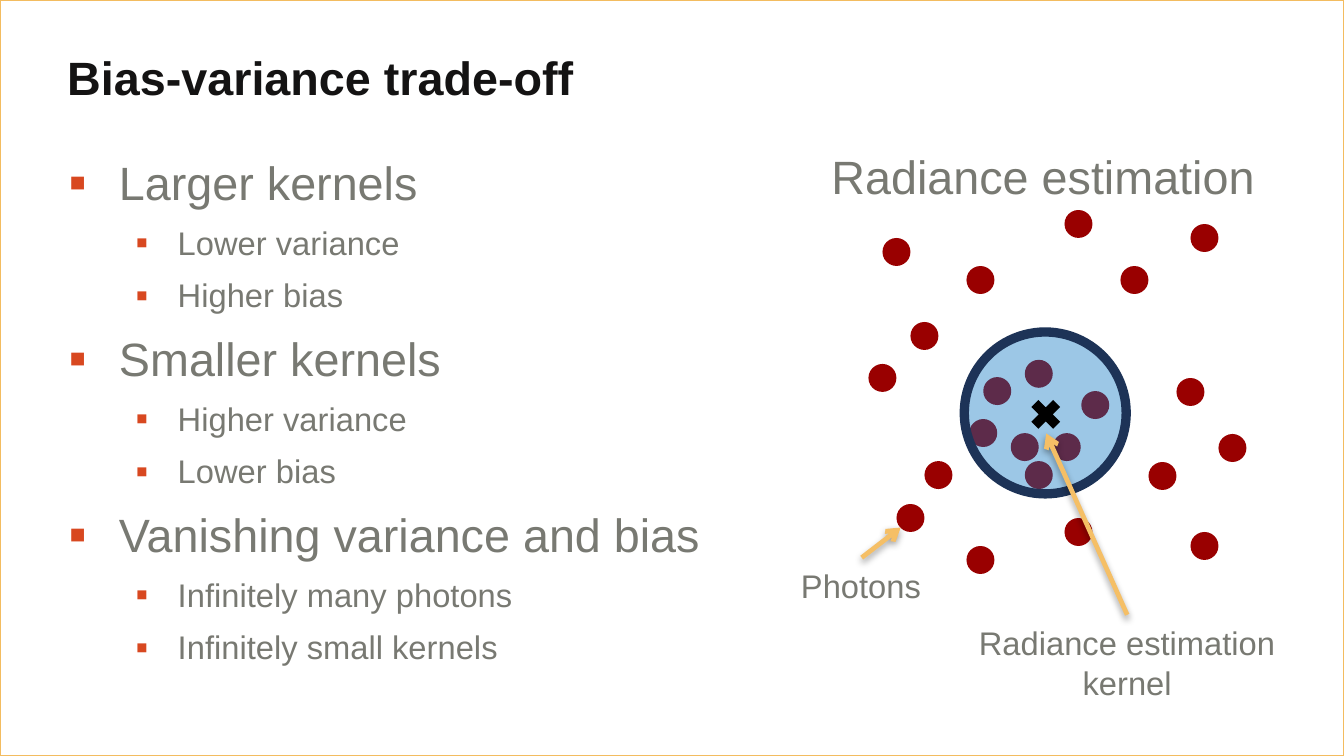
import copy
from dataclasses import dataclass

import pptx
import pptx.dml.color
import pptx.enum.shapes
import pptx.enum.text
import pptx.oxml.ns
import pptx.util
from lxml import etree

Pt = pptx.util.Pt
qn = pptx.oxml.ns.qn
Shape = pptx.enum.shapes.MSO_SHAPE
Align = pptx.enum.text.PP_ALIGN


@dataclass(frozen=True)
class Theme:
    font: str = "Arial"
    heading_size: float = 20
    detail_size: float = 14
    paper: str = "FFFFFF"
    frame: str = "F3BC60"
    title: str = "141313"
    text: str = "787972"
    bullet: str = "D84820"
    photon: str = "990000"
    kernel_fill: str = "0070C0"
    kernel_line: str = "1D3357"
    arrow: str = "F5BF66"
    mark: str = "000000"


@dataclass(frozen=True)
class Box:
    left: float
    top: float
    width: float
    height: float

    def lengths(self) -> list:
        return [Pt(v) for v in (self.left, self.top, self.width, self.height)]


@dataclass(frozen=True)
class Topic:
    heading: str
    details: tuple


THEME = Theme()
SLIDE = Box(0, 0, 576, 324)
PHOTON_SIZE = 12

TOPICS = [
    Topic("Larger kernels", ("Lower variance", "Higher bias")),
    Topic("Smaller kernels", ("Higher variance", "Lower bias")),
    Topic("Vanishing variance and bias",
          ("Infinitely many photons", "Infinitely small kernels")),
]

# Top left corners of the photons
PHOTONS = [
    (439.2, 154.2), (433.2, 185.6), (451.2, 185.6), (463.4, 167.6),
    (415.4, 179.6), (439.2, 197.6), (421.4, 161.6), (396.2, 197.6),
    (384.2, 216), (414.2, 234), (390.2, 138), (372.2, 156),
    (456.2, 222), (510.2, 228), (522.2, 186), (492.2, 198),
    (504.2, 162), (510.2, 96), (480.2, 114), (414.2, 114),
    (378.2, 102), (456.2, 90),
]


def rgb(color: str):
    return pptx.dml.color.RGBColor.from_string(color)


def add_element(parent, tag: str, **attributes):
    return etree.SubElement(parent, qn(tag),
                            {key: str(value) for key, value in attributes.items()})


def write(paragraph, text: str, *, size=THEME.detail_size, color=THEME.text,
          bold=False, align=None) -> None:
    paragraph.text = text
    paragraph.alignment = align
    for run in paragraph.runs:
        run.font.name = THEME.font
        run.font.size = Pt(size)
        run.font.bold = bold
        run.font.color.rgb = rgb(color)
    # Line breaks take the format of the text around them
    for line_break in paragraph.line_breaks if hasattr(paragraph, "line_breaks") else \
            paragraph._p.findall(qn("a:br")):
        line_break.insert(0, copy.deepcopy(paragraph.runs[0].font._rPr))


def add_text_box(slide, box: Box, wrap=False, inset=(7.2, 3.6)):
    text_box = slide.shapes.add_textbox(*box.lengths())
    frame = text_box.text_frame
    frame.word_wrap = wrap
    frame.margin_left = frame.margin_right = Pt(inset[0])
    frame.margin_top = frame.margin_bottom = Pt(inset[1])
    return text_box


def add_label(slide, box: Box, text: str, **text_format):
    label = add_text_box(slide, box)
    write(label.text_frame.paragraphs[0], text, **text_format)
    return label


def add_filled(slide, kind, box: Box, fill: str, line=None, line_width=0.75,
               opacity=None):
    shape = slide.shapes.add_shape(kind, *box.lengths())
    shape.shadow.inherit = False
    shape.fill.solid()
    shape.fill.fore_color.rgb = rgb(fill)
    if opacity is not None:
        color = shape.fill._xPr.find(".//" + qn("a:srgbClr"))
        add_element(color, "a:alpha", val=opacity * 1000)
    if line:
        shape.line.color.rgb = rgb(line)
        shape.line.width = Pt(line_width)
    else:
        shape.line.fill.background()
    return shape


def add_bullet(frame, text: str, level: int, first: bool) -> None:
    paragraph = frame.paragraphs[0] if first else frame.add_paragraph()
    paragraph.level = level
    paragraph.line_spacing = 1.1
    paragraph.space_before = Pt(0 if first else 2)
    paragraph.space_after = Pt(2)
    margin, hanging = ((21.6, 21.6), (46.8, 18))[level]
    properties = paragraph._p.get_or_add_pPr()
    properties.set("marL", str(Pt(margin)))
    properties.set("indent", str(-Pt(hanging)))
    add_element(add_element(properties, "a:buClr"), "a:srgbClr", val=THEME.bullet)
    add_element(properties, "a:buSzPct", val=110000)
    add_element(properties, "a:buFont", typeface=THEME.font)
    add_element(properties, "a:buChar", char="▪")
    write(paragraph, text, size=(THEME.heading_size, THEME.detail_size)[level])


def add_pointer(slide, label, tip: tuple) -> None:
    """Draw an arrow from the top middle of a label to a tip."""
    pointer = slide.shapes.add_connector(
        pptx.enum.shapes.MSO_CONNECTOR.STRAIGHT,
        label.left + label.width // 2, label.top, Pt(tip[0]), Pt(tip[1]))
    pointer.begin_connect(label, 0)
    pointer.line.color.rgb = rgb(THEME.arrow)
    pointer.line.width = Pt(2)
    add_element(pointer.line._get_or_add_ln(), "a:tailEnd", type="arrow")
    effects = add_element(pointer._element.spPr, "a:effectLst")
    shadow = add_element(effects, "a:outerShdw", blurRad=Pt(3.1), dist=Pt(1.6),
                         dir=90 * 60000, rotWithShape=0)
    color = add_element(shadow, "a:srgbClr", val="000000")
    add_element(color, "a:alpha", val=38000)


def main() -> None:
    deck = pptx.Presentation()
    deck.slide_width, deck.slide_height = Pt(SLIDE.width), Pt(SLIDE.height)
    slide = deck.slides.add_slide(deck.slide_layouts[6])

    # Frame and title
    add_filled(slide, Shape.RECTANGLE, SLIDE, THEME.paper, line=THEME.frame)
    title = add_text_box(slide, Box(23, 18, 500, 30.2), wrap=True, inset=(5.8, 2.9))
    write(title.text_frame.paragraphs[0], "Bias-variance trade-off",
          size=THEME.heading_size, color=THEME.title, bold=True)

    # Topics
    body = add_text_box(slide, Box(22.3, 59.8, 535.7, 246.2), wrap=True)
    for index, topic in enumerate(TOPICS):
        add_bullet(body.text_frame, topic.heading, 0, first=index == 0)
        for detail in topic.details:
            add_bullet(body.text_frame, detail, 1, first=False)

    # Photons under the translucent kernel
    for left, top in PHOTONS:
        add_filled(slide, Shape.OVAL, Box(left, top, PHOTON_SIZE, PHOTON_SIZE),
                   THEME.photon)
    add_filled(slide, Shape.OVAL, Box(413.3, 142.3, 69.4, 69.4), THEME.kernel_fill,
               line=THEME.kernel_line, line_width=4, opacity=39)

    # Labels and their pointers
    photon_label = add_label(slide, Box(336.2, 239, 66.2, 24.2), "Photons")
    kernel_label = add_label(slide, Box(411.8, 263.5, 142.6, 41.2),
                             "Radiance estimation\vkernel", align=Align.CENTER)
    add_pointer(slide, kernel_label, (448.4, 185.8))
    add_pointer(slide, photon_label, (386, 226.1))
    add_label(slide, Box(348.5, 59.8, 197.3, 31.7), "Radiance estimation",
              size=THEME.heading_size, align=Align.CENTER)

    # Estimation point
    add_filled(slide, Shape.MATH_MULTIPLY, Box(439.2, 168.6, 18, 18), THEME.mark)

    deck.save("out.pptx")


if __name__ == "__main__":
    main()
